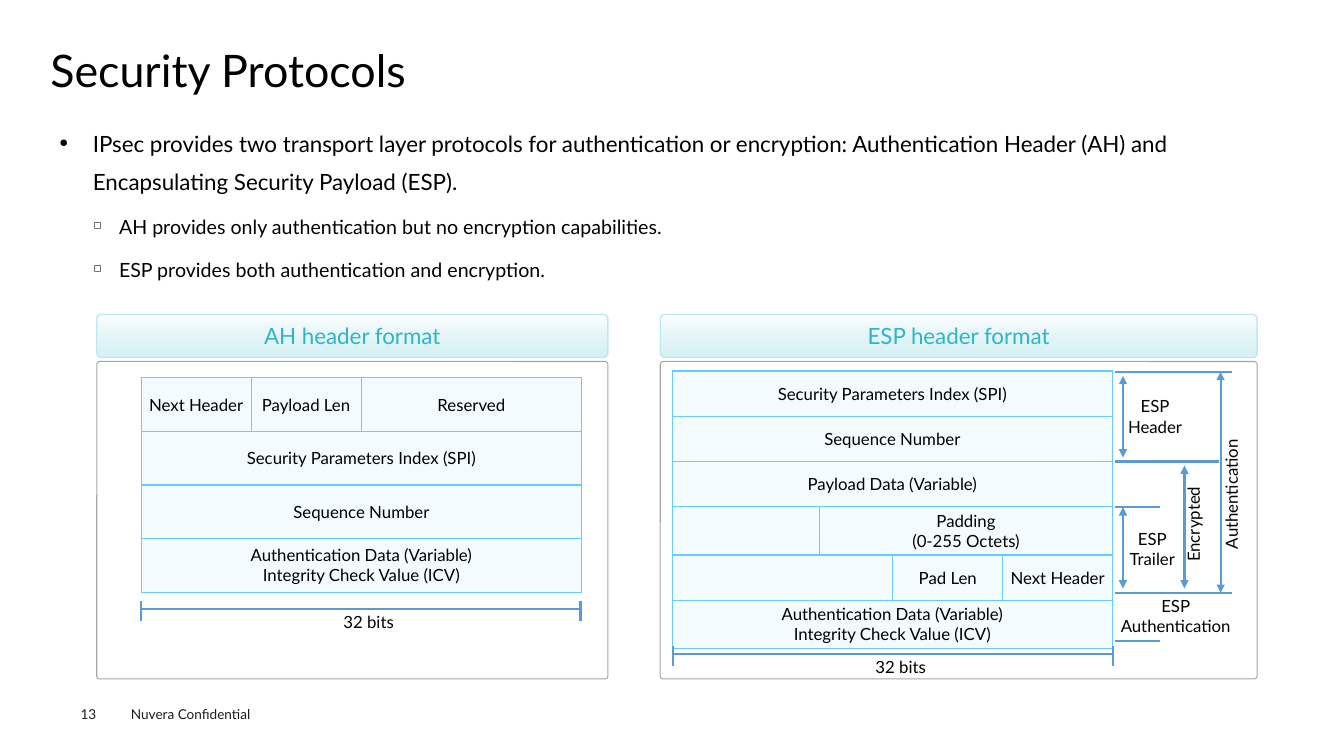
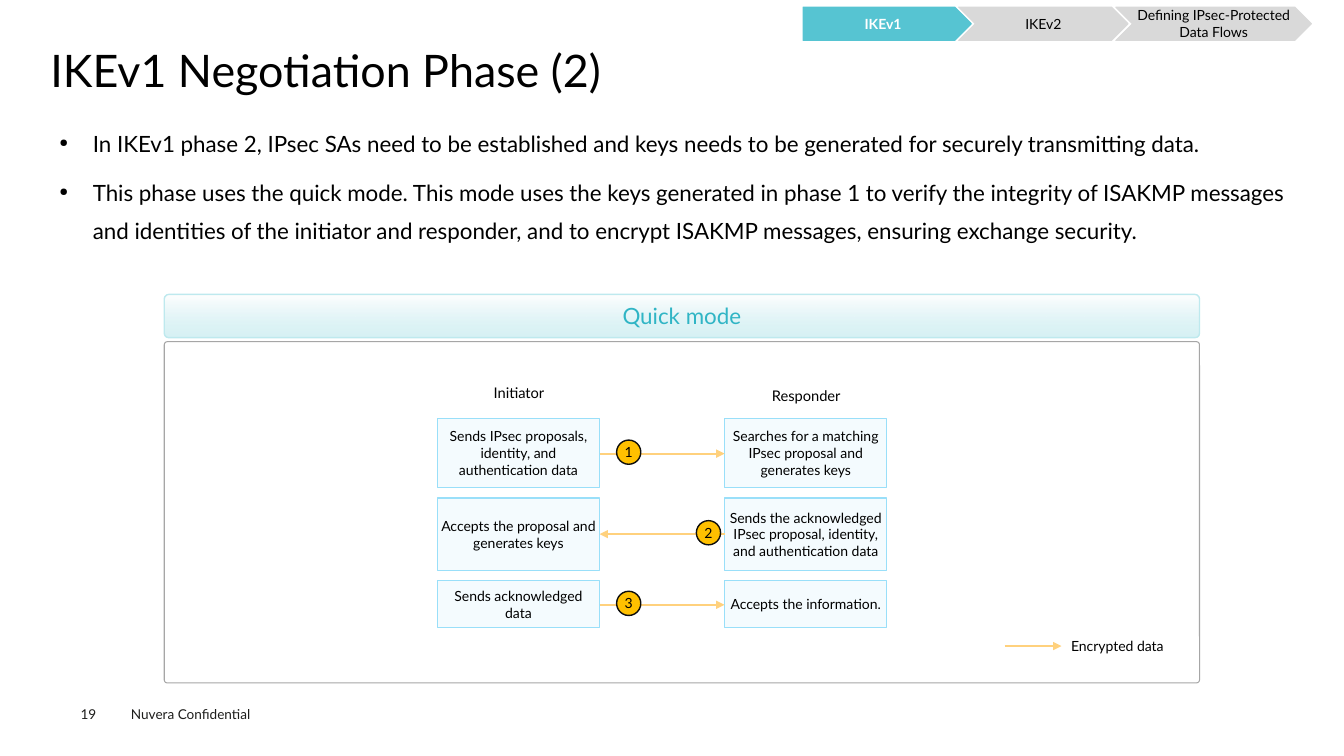
"""Build two slides on IPsec header formats and the IKEv1 quick mode."""
from lxml import etree
from pptx import Presentation, util as u
from pptx.dml.color import RGBColor
from pptx.enum import shapes, text
from pptx.oxml.ns import qn

Cm, Pt = u.Cm, u.Pt
Kind, Align, Mid = shapes.MSO_SHAPE, text.PP_ALIGN, text.MSO_ANCHOR


class Theme:
    font = "Lato"
    black, white, foot = "000000", "FFFFFF", "1D1D1B"
    teal, pale, title = "56C4D2", "BEE9EE", "30B5C5"
    cell, grid, edge = "F4FBFE", "66CCFF", "99DFF9"
    frame, grey, blue = "A6A6A6", "D9D9D9", "5B9BD5"
    sand, gold, ink = "FFD17D", "FFC000", "0D0D0D"
    head, body, sub, note, mark, small, tiny = 32, 16, 14, 12, 10.5, 10, 9.7


def write(frame, words, size, color=Theme.black, align=Align.CENTER, bold=False):
    for i, line in enumerate(words.split("\n")):
        para = frame.paragraphs[0] if i == 0 else frame.add_paragraph()
        para.alignment = align
        run = para.add_run()
        run.text = line
        form = {"name": Theme.font, "size": Pt(size), "bold": bold}
        for key, val in form.items():
            setattr(run.font, key, val)
        run.font.color.rgb = RGBColor.from_string(color)


def box(page, kind, x, y, w, h, words="", size=Theme.small, fill=None, edge=None,
        width=1, pad=0, wrap=True, anchor=Mid.MIDDLE, **form):
    place = [Cm(n) for n in (x, y, w, h)]
    if kind is None:
        item = page.shapes.add_textbox(*place)
    else:
        item = page.shapes.add_shape(kind, *place)
        item.shadow.inherit = False
        for part, color in ((item.fill, fill), (item.line.fill, edge)):
            if color:
                part.solid()
                part.fore_color.rgb = RGBColor.from_string(color)
            else:
                part.background()
        item.line.width = Pt(width)
    frame = item.text_frame
    rules = {"word_wrap": wrap, "vertical_anchor": anchor}
    rules.update({"margin_" + side: Cm(pad) for side in ("left", "right", "top", "bottom")})
    for key, val in rules.items():
        setattr(frame, key, val)
    if words:
        write(frame, words, size, **form)
    return item


deck = Presentation()
deck.slide_width, deck.slide_height = Cm(33.87), Cm(19.05)

pages = []
for number, title, points in (
    ("13", "Security Protocols", (
        (0, "IPsec provides two transport layer protocols for authentication or encryption: "
            "Authentication Header (AH) and Encapsulating Security Payload (ESP)."),
        (1, "AH provides only authentication but no encryption capabilities."),
        (1, "ESP provides both authentication and encryption."))),
    ("19", "IKEv1 Negotiation Phase (2)", (
        (0, "In IKEv1 phase 2, IPsec SAs need to be established and keys needs to be generated "
            "for securely transmitting data."),
        (0, "This phase uses the quick mode. This mode uses the keys generated in phase 1 to "
            "verify the integrity of ISAKMP messages and identities of the initiator and "
            "responder, and to encrypt ISAKMP messages, ensuring exchange security."))),
):
    page = deck.slides.add_slide(deck.slide_layouts[6])
    pages.append(page)
    for x, w, words in ((2.03, 1, number), (3.3, 6, "Nuvera Confidential")):
        box(page, None, x, 17.78, w, 0.41, words, Theme.tiny, color=Theme.foot, align=Align.LEFT)
    top = box(page, None, 1.27, 1.24, 31.37, 1.37, title, Theme.head,
              anchor=Mid.TOP, align=Align.LEFT)
    top.text_frame.paragraphs[0].line_spacing = 0.9
    body = box(page, None, 1.27, 2.92, 31.37, 13.54, "\n".join(p for _, p in points),
               Theme.body, pad=0.1, anchor=Mid.TOP, align=Align.LEFT)
    body.text_frame.margin_left = body.text_frame.margin_right = Cm(0.23)
    for para, (level, _) in zip(body.text_frame.paragraphs, points):
        size, gap, left, hang, sign = (
            (Theme.body, 7.9, 0.84, 0.84, "●"), (Theme.sub, 7.2, 1.5, 0.64, "◻"))[level]
        para.runs[0].font.size = Pt(size)
        for key, val in {"level": level, "line_spacing": 1.4, "space_before": Pt(gap)}.items():
            setattr(para, key, val)
        prop = para._p.get_or_add_pPr()
        prop.set("marL", str(Cm(left)))
        prop.set("indent", str(-Cm(hang)))
        etree.SubElement(prop, qn("a:buSzPct")).set("val", "50000")
        etree.SubElement(prop, qn("a:buChar")).set("char", sign)
heads, quick = pages

for page, x, y, w, h, words in (
    (heads, 2.44, 7.92, 12.88, 8, "AH header format"),
    (heads, 16.64, 7.92, 15.04, 8, "ESP header format"),
    (quick, 4.14, 7.42, 26.09, 8.6, "Quick mode"),
):
    band = box(page, Kind.ROUNDED_RECTANGLE, x, y, w, 1.09, words, Theme.body,
               edge=Theme.pale, color=Theme.title)
    band.adjustments[0] = 0.106
    band.fill.gradient()
    band.fill.gradient_angle = 270
    for stop, color in zip(band.fill.gradient_stops, (Theme.white, Theme.pale)):
        stop.color.rgb = RGBColor.from_string(color)
    last = band._element.xpath(".//a:gs/a:srgbClr")[-1]
    etree.SubElement(last, qn("a:alpha")).set("val", "60000")
    panel = box(page, Kind.ROUNDED_RECTANGLE, x, y + 1.19, w, h, edge=Theme.frame, width=0.75)
    panel.adjustments[0] = 0.009

index, order = "Security Parameters Index (SPI)", "Sequence Number"
check = "Authentication Data (Variable)\nIntegrity Check Value (ICV)"
for x, y, high, cols, rows in (
    (3.56, 9.52, 1.35, (2.77, 2.77, 5.56), (
        ("Next Header", "Payload Len", "Reserved"),
        (index, None, None),
        (order, None, None),
        (check, None, None))),
    (16.94, 9.35, 1.14, (3.71, 1.85, 2.77, 2.77), (
        (index, None, None, None),
        (order, None, None, None),
        ("Payload Data (Variable)", None, None, None),
        ("", "Padding\n(0-255 Octets)", None, None),
        ("", None, "Pad Len", "Next Header"),
        (check, None, None, None))),
):
    table = heads.shapes.add_table(len(rows), len(cols), Cm(x), Cm(y), Cm(sum(cols)),
                                   Cm(high * len(rows))).table
    table.first_row = table.horz_banding = False
    for col, w in zip(table.columns, cols):
        col.width = Cm(w)
    for r, row in enumerate(rows):
        table.rows[r].height = Cm(high)
        for c, words in enumerate(row):
            cell = table.cell(r, c)
            cell.fill.solid()
            cell.fill.fore_color.rgb = RGBColor.from_string(Theme.cell)
            cell.vertical_anchor = Mid.MIDDLE
            for side in ("left", "right", "top", "bottom"):
                setattr(cell, "margin_" + side, Cm(0.1))
            prop = cell._tc.get_or_add_tcPr()
            for i, side in enumerate("LRTB"):
                rim = etree.Element(qn("a:ln" + side), w=str(Pt(1)))
                ink = etree.SubElement(rim, qn("a:solidFill"))
                etree.SubElement(ink, qn("a:srgbClr")).set("val", Theme.grid)
                prop.insert(i, rim)
            if words:
                write(cell.text_frame, words, Theme.note)
            end = c
            while words is not None and end + 1 < len(row) and row[end + 1] is None:
                end += 1
            if end > c:
                cell.merge(table.cell(r, end))

lines = []
notes = [
    (heads, 29.11, 10.49, "ESP\nHeader", Theme.note, 0),
    (heads, 29.04, 13.82, "ESP\nTrailer", Theme.note, 0),
    (heads, 29.63, 15.52, "ESP\nAuthentication", Theme.note, 0),
    (heads, 30.07, 13.21, "Encrypted", Theme.note, 270),
    (heads, 31.03, 12.45, "Authentication", Theme.note, 270),
    (quick, 13.08, 9.89, "Initiator", Theme.mark, 0),
    (quick, 20.32, 9.97, "Responder", Theme.mark, 0),
    (quick, 28.16, 16.28, "Encrypted data", Theme.small, 0),
]
for x, y in ((3.56, 15.14), (16.97, 16.28)):
    end = x + 11.07
    for x1, y1, x2, y2 in ((x, y, x, y + 0.5), (end, y, end, y + 0.5),
                           (x, y + 0.2, end, y + 0.2)):
        lines.append((heads, x1, y1, x2, y2, ()))
    notes.append((heads, x + 5.73, y + 0.53, "32 bits", Theme.note, 0))
for y, end in ((9.37, 31.04), (11.63, 30.73), (12.78, 29.24), (14.94, 31.04), (16.15, 29.24)):
    lines.append((heads, 28.09, y, end, y, ()))
for x, y, end in ((28.3, 9.47, 11.53), (28.3, 12.78, 14.83),
                  (29.85, 11.73, 14.83), (30.76, 9.37, 14.94)):
    lines.append((heads, x, y, x, end, ("head", "tail")))

steps = (
    (10.54, 1.75, 11.43, 15.54, "tail", "Sends IPsec proposals, identity, and authentication data",
     "Searches for a matching IPsec proposal and generates keys"),
    (12.55, 1.83, 13.46, 17.55, "head", "Accepts the proposal and generates keys",
     "Sends the acknowledged IPsec proposal, identity, and authentication data"),
    (14.63, 1.19, 15.24, 15.54, "tail", "Sends acknowledged data", "Accepts the information."),
)
for y, h, mid, _, tip, *pair in steps:
    for x, words in zip((11.02, 18.26), pair):
        box(quick, Kind.RECTANGLE, x, y, 4.09, h, words, fill=Theme.cell, edge=Theme.edge, pad=0.1)
    lines.append((quick, 15.11, mid, 18.26, mid, (tip,)))
lines.append((quick, 25.32, 16.28, 26.75, 16.28, ("tail",)))

for page, x1, y1, x2, y2, tips in lines:
    link = page.shapes.add_connector(shapes.MSO_CONNECTOR.STRAIGHT, Cm(x1), Cm(y1), Cm(x2), Cm(y2))
    link.line.width = Pt(1.5)
    link.line.color.rgb = RGBColor.from_string(Theme.blue if page is heads else Theme.sand)
    prop = link._element.spPr
    for tip in tips:
        etree.SubElement(prop.get_or_add_ln(), qn(f"a:{tip}End")).set("type", "triangle")
    etree.SubElement(prop, qn("a:effectLst"))

for page, x, y, words, size, turn in notes:
    note = box(page, None, x - 1.7, y - 0.6, 3.4, 1.2, words, size, wrap=False)
    note.rotation = turn

for i, (_, _, mid, x, *_) in enumerate(steps, 1):
    box(quick, Kind.OVAL, x, mid - 0.34, 0.61, 0.61, str(i), fill=Theme.gold, edge=Theme.ink)

for kind, x, w, words, fill, color, bold in (
    (Kind.PENTAGON, 20.24, 4.24, "IKEv1", Theme.teal, Theme.white, True),
    (Kind.CHEVRON, 24.16, 4.27, "IKEv2", Theme.grey, Theme.black, False),
    (Kind.CHEVRON, 28.12, 4.93, "Defining IPsec-Protected Data Flows", Theme.grey,
     Theme.black, False),
):
    box(quick, kind, x, 0.18, w, 0.84, words, fill=fill, edge=fill, width=0.75,
        color=color, bold=bold)

deck.save("out.pptx")
